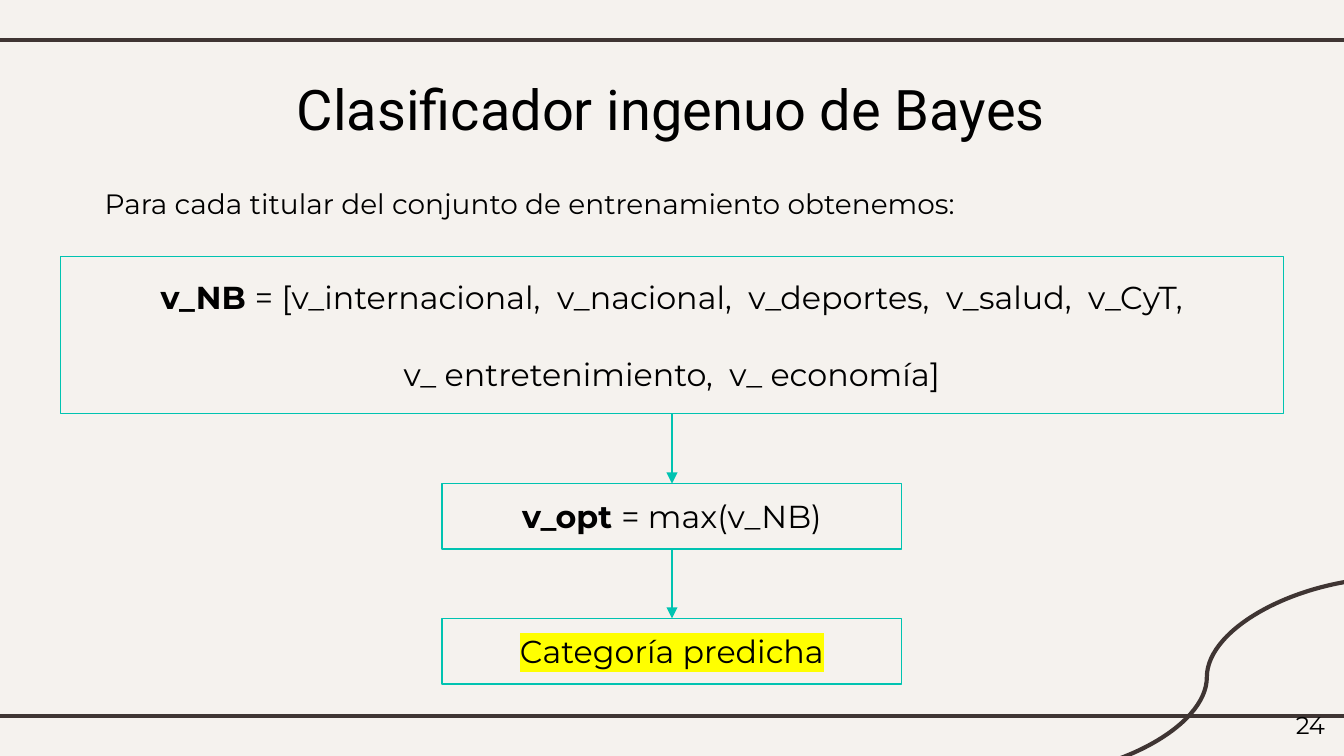
from dataclasses import dataclass

from lxml import etree
from pptx import Presentation
from pptx.dml.color import RGBColor
from pptx.enum.shapes import MSO_CONNECTOR, MSO_SHAPE
from pptx.enum.text import MSO_ANCHOR, PP_ALIGN
from pptx.oxml.ns import qn
from pptx.util import Cm, Pt

RECT = MSO_SHAPE.RECTANGLE
LINE, CURVE = MSO_CONNECTOR.STRAIGHT, MSO_CONNECTOR.CURVE
TOP, MID = MSO_ANCHOR.TOP, MSO_ANCHOR.MIDDLE
LEFT, MIDST, RIGHT = PP_ALIGN.LEFT, PP_ALIGN.CENTER, PP_ALIGN.RIGHT


@dataclass(frozen=True)
class Theme:
    paper: str = "F5F2EE"
    ink: str = "000000"
    frame: str = "3F3533"
    teal: str = "00C3B1"
    mark: str = "FFFF00"
    head: str = "Roboto"
    body: str = "Montserrat"
    title: float = 30
    intro: float = 15
    box: float = 17
    page: float = 13
    gap: float = 20.7


THEME = Theme()
WIDE, HIGH = 25.4, 14.29
MID_X = WIDE / 2


def rgb(code):
    return RGBColor.from_string(code)


def apply(item, values):
    for name, value in values.items():
        setattr(item, name, value)


def add_mark(run):
    fill = run.font._element.find(qn("a:solidFill"))
    mark = etree.Element(qn("a:highlight"))
    etree.SubElement(mark, qn("a:srgbClr"), val=THEME.mark)
    fill.addnext(mark)


def write(shape, rows, size, face=THEME.body, align=MIDST, anchor=MID, mark=False):
    frame = shape.text_frame
    pad = Cm(0.25)
    apply(frame, {"word_wrap": True, "vertical_anchor": anchor,
                  "margin_left": pad, "margin_right": pad,
                  "margin_top": pad, "margin_bottom": pad})
    for row, (bold, plain) in enumerate(rows):
        para = frame.add_paragraph() if row else frame.paragraphs[0]
        para.alignment = align
        if row:
            para.space_before = Pt(THEME.gap)
        for text, thick in ((bold, True), (plain, False)):
            if text:
                run = para.add_run()
                run.text = text
                apply(run.font, {"name": face, "size": Pt(size), "bold": thick})
                run.font.color.rgb = rgb(THEME.ink)
                if mark:
                    add_mark(run)


def add_text(slide, area, text, size, **style):
    box = slide.shapes.add_textbox(*map(Cm, area))
    write(box, [("", text)], size, **style)


def add_box(slide, top, wide, high, rows, mark=False):
    area = (MID_X - wide / 2, top, wide, high)
    box = slide.shapes.add_shape(RECT, *map(Cm, area))
    box.shadow.inherit = False
    box.fill.background()
    box.line.color.rgb = rgb(THEME.teal)
    box.line.width = Pt(0.75)
    write(box, rows, THEME.box, mark=mark)


def add_line(slide, ends, color, width, kind=LINE, arrow=False):
    line = slide.shapes.add_connector(kind, *map(Cm, ends))
    line.line.color.rgb = rgb(color)
    line.line.width = Pt(width)
    etree.SubElement(line._element.spPr, qn("a:effectLst"))
    if arrow:
        etree.SubElement(line.line._get_or_add_ln(), qn("a:tailEnd"), type="triangle")


def main():
    deck = Presentation()
    apply(deck, {"slide_width": Cm(WIDE), "slide_height": Cm(HIGH)})
    slide = deck.slides.add_slide(deck.slide_layouts[6])
    slide.background.fill.solid()
    slide.background.fill.fore_color.rgb = rgb(THEME.paper)

    for y in (0.76, 13.54):
        add_line(slide, (-0.2, y, WIDE + 0.2, y), THEME.frame, 2.25)
    add_line(slide, (26.34, 10.92, 19.28, 14.68), THEME.frame, 2.25, CURVE)

    add_text(slide, (4.8, 1.24, 15.77, 1.6), "Clasificador ingenuo de Bayes",
             THEME.title, face=THEME.head)
    add_text(slide, (1.73, 3.28, 21.95, 1.14),
             "Para cada titular del conjunto de entrenamiento obtenemos:",
             THEME.intro, align=LEFT, anchor=TOP)

    vector = [
        ("v_NB ", "= [v_internacional,  v_nacional,  v_deportes,  v_salud,  v_CyT,"),
        ("", "v_ entretenimiento,  v_ economía]"),
    ]
    steps = [
        (4.85, 23.11, 2.97, vector, False),
        (9.14, 8.69, 1.24, [("v_opt ", "= max(v_NB)")], False),
        (11.69, 8.69, 1.24, [("", "Categoría predicha")], True),
    ]
    for step in steps:
        add_box(slide, *step)
    for above, below in zip(steps, steps[1:]):
        add_line(slide, (MID_X, above[0] + above[2], MID_X, below[0]),
                 THEME.teal, 1.5, arrow=True)

    add_text(slide, (23.77, 13.18, 1.52, 1.09), "24", THEME.page,
             align=RIGHT, anchor=TOP)
    deck.save("out.pptx")


if __name__ == "__main__":
    main()
